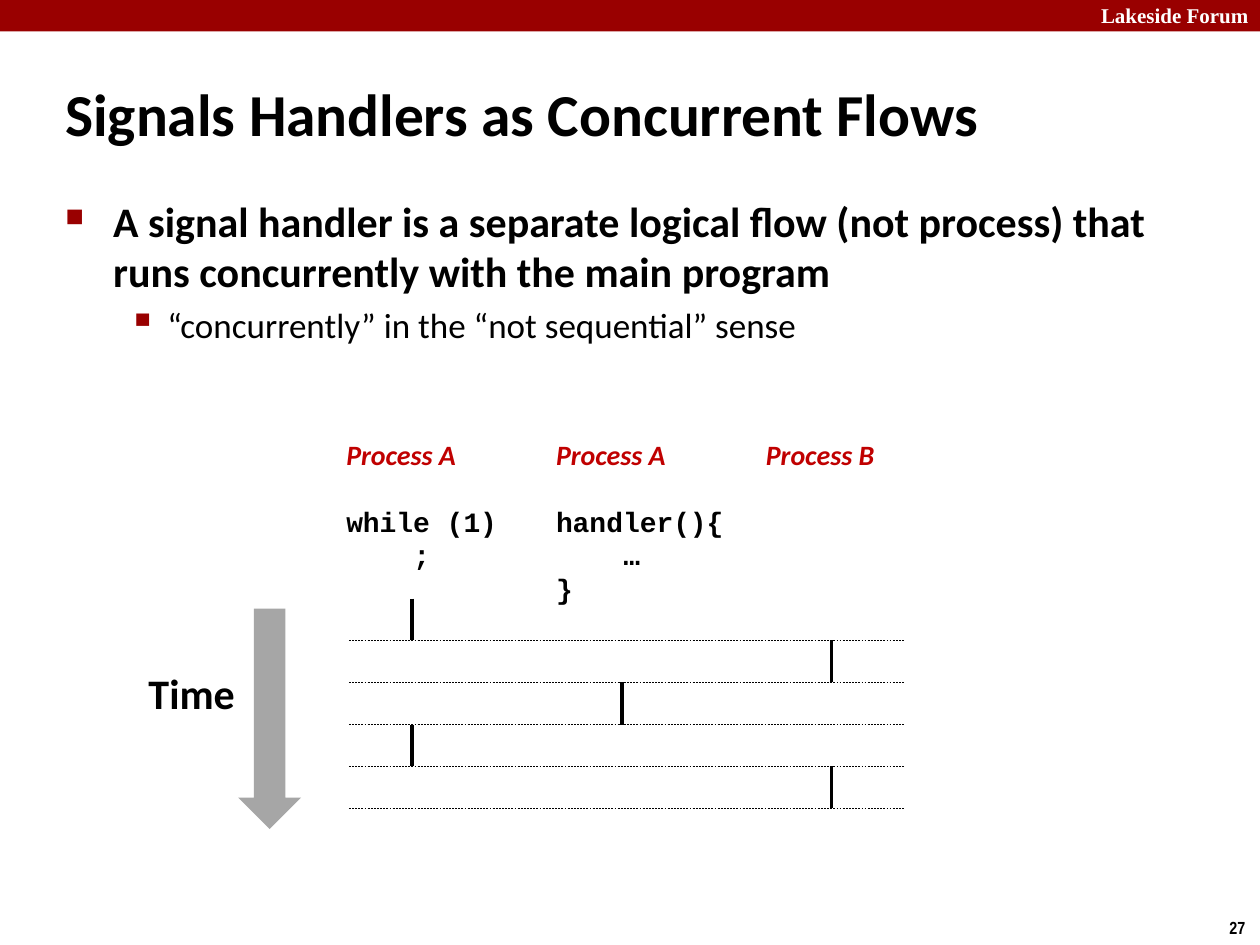
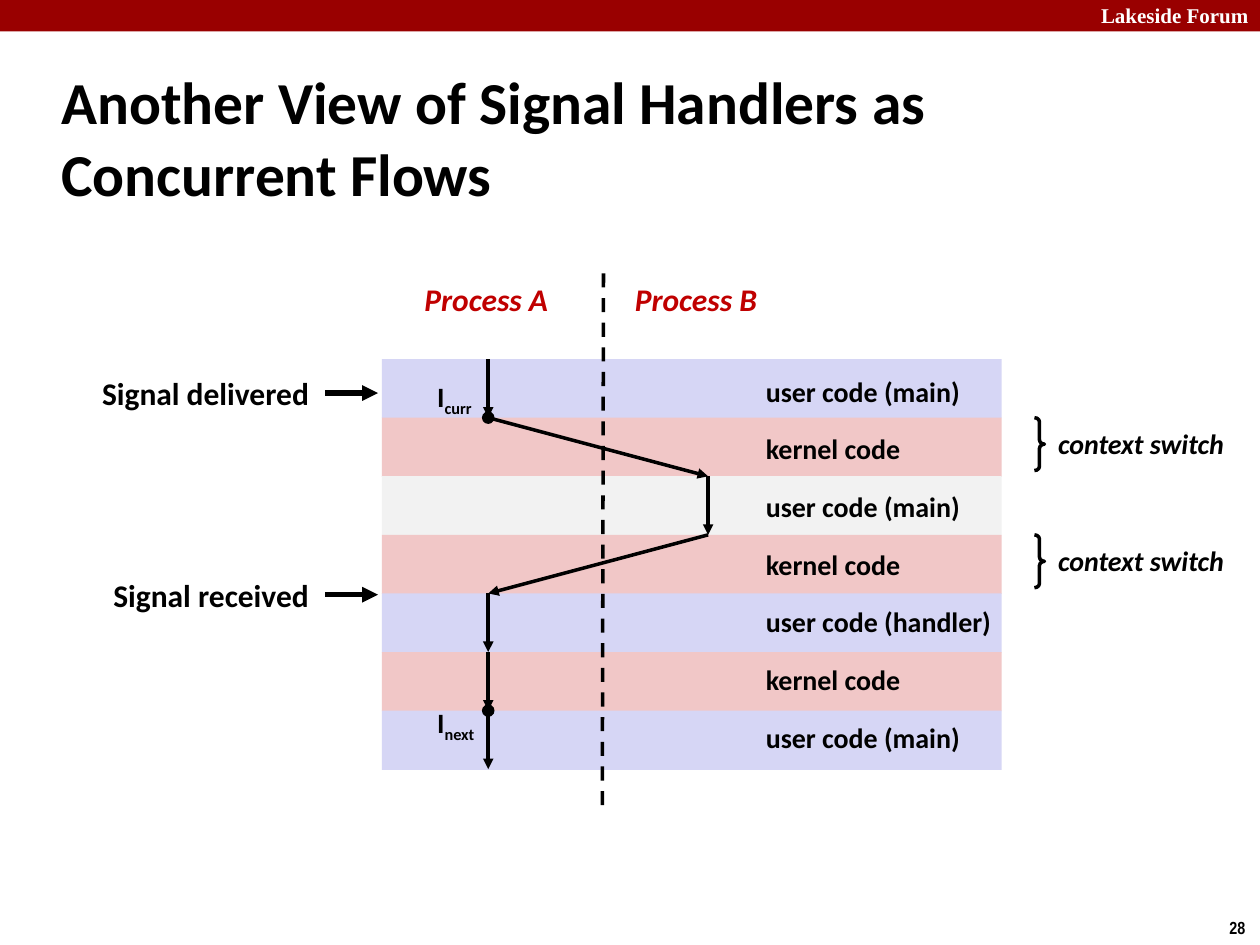
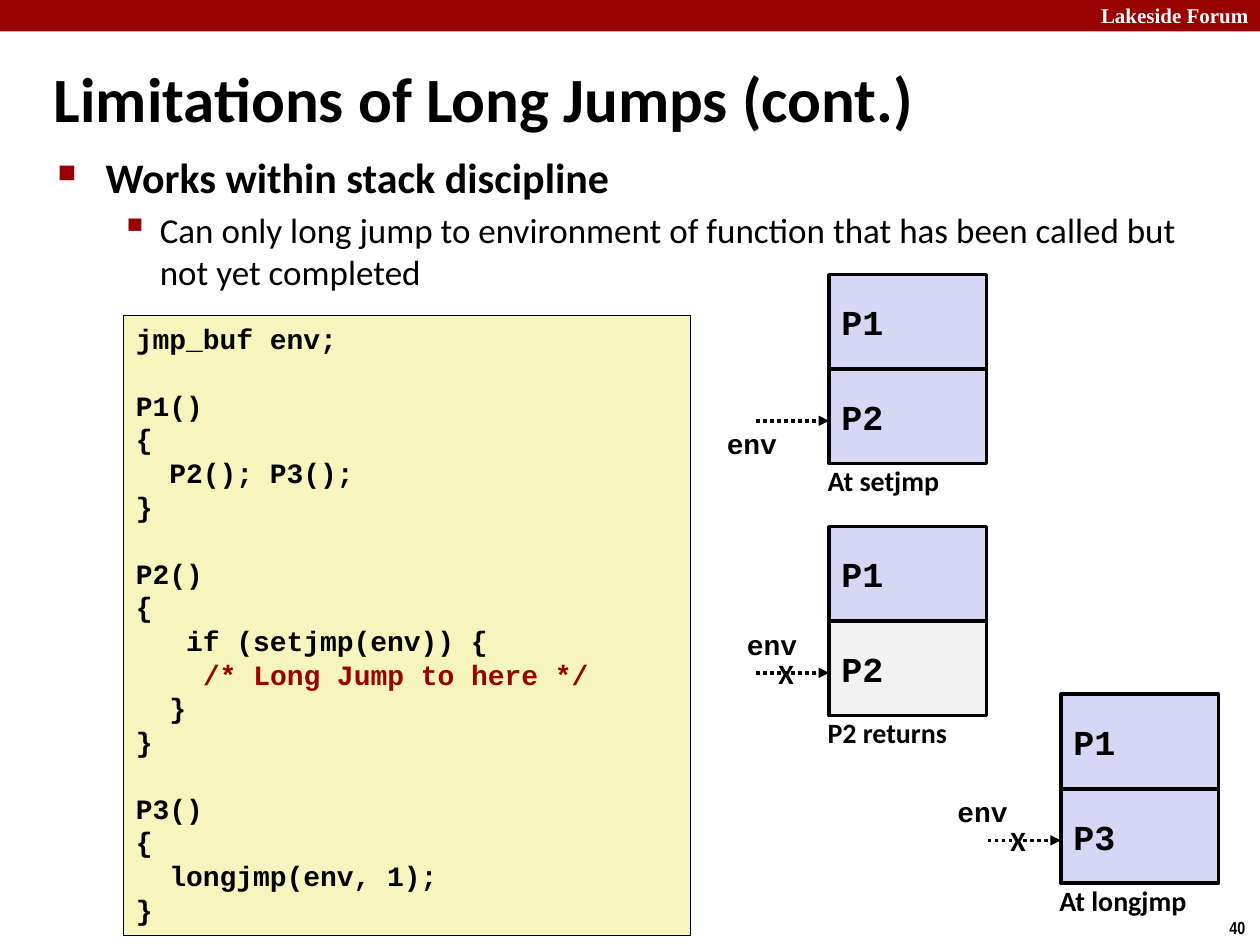
from dataclasses import dataclass
from itertools import pairwise

from lxml import etree
from pptx import Presentation
from pptx.dml.color import RGBColor
from pptx.enum.dml import MSO_LINE
from pptx.enum.shapes import MSO_CONNECTOR, MSO_SHAPE
from pptx.enum.text import MSO_ANCHOR, PP_ALIGN
from pptx.oxml.ns import qn
from pptx.util import Inches, Pt

RECTANGLE = MSO_SHAPE.RECTANGLE
ELLIPSE = MSO_SHAPE.OVAL
DOWN_ARROW = MSO_SHAPE.DOWN_ARROW
RIGHT_BRACE = MSO_SHAPE.RIGHT_BRACE
STRAIGHT = MSO_CONNECTOR.STRAIGHT
DASH = MSO_LINE.DASH
DOTS = MSO_LINE.ROUND_DOT
TOP = MSO_ANCHOR.TOP
MIDDLE = MSO_ANCHOR.MIDDLE
LEFT = PP_ALIGN.LEFT


@dataclass(frozen=True)
class Theme:
    black: str = "000000"
    white: str = "FFFFFF"
    crimson: str = "990000"
    heading_red: str = "C00000"
    gray: str = "A6A6A6"
    user_a: str = "D6D6F5"
    user_b: str = "F2F2F2"
    kernel: str = "F1C7C7"
    code_fill: str = "F6F5BD"
    body_font: str = "Calibri"
    code_font: str = "Courier New"
    band_font: str = "Times New Roman"
    number_font: str = "Arial Narrow"
    title: int = 34
    title_large: int = 36
    large: int = 24
    medium: int = 20
    label: int = 18
    small: int = 16
    band: int = 12
    number: int = 10
    code_line: float = 19.2
    code_character: float = 0.6 * 16 / 72


THEME = Theme()


def write(frame, text, size=THEME.small, font=THEME.body_font, color=THEME.black,
          bold=True, italic=False, level=0, margin=0, hanging=0, before=0,
          spacing=None, bullet=None, bullet_size=100, baseline=0, joined=False):
    paragraph = frame.paragraphs[-1]
    if paragraph.runs and not joined:
        paragraph = frame.add_paragraph()
    if not joined:
        paragraph.alignment = LEFT
        paragraph.level = level
        paragraph.space_before = Pt(before)
        if spacing:
            paragraph.line_spacing = Pt(spacing)
        properties = paragraph._p.get_or_add_pPr()
        properties.set("marL", str(Inches(margin)))
        properties.set("indent", str(Inches(-hanging)))
        if bullet:
            bullet_color = etree.SubElement(properties, qn("a:buClr"))
            etree.SubElement(bullet_color, qn("a:srgbClr"), val=THEME.crimson)
            etree.SubElement(properties, qn("a:buSzPct"), val=str(bullet_size * 1000))
            etree.SubElement(properties, qn("a:buChar"), char=bullet)
    run = paragraph.add_run()
    run.text = text
    run.font.size = Pt(size)
    run.font.name = font
    run.font.bold = bold
    run.font.italic = italic
    run.font.color.rgb = RGBColor.from_string(color)
    if baseline:
        run._r.get_or_add_rPr().set("baseline", str(baseline * 1000))


def write_code(frame, lines, blank_first=False):
    blank = blank_first
    for line in lines:
        code = line.lstrip()
        if not code:
            blank = True
            continue
        write(frame, code, font=THEME.code_font,
              color=THEME.crimson if code.startswith("/*") else THEME.black,
              margin=(len(line) - len(code)) * THEME.code_character,
              before=THEME.code_line if blank else 0, spacing=THEME.code_line)
        blank = False


def set_frame(shape, wrap=True, anchor=TOP, inset=0.1):
    frame = shape.text_frame
    frame.word_wrap = wrap
    frame.vertical_anchor = anchor
    frame.margin_left = frame.margin_right = Inches(inset)
    frame.margin_top = frame.margin_bottom = Inches(0.05)
    return frame


def add_frame(shapes, box, **layout):
    return set_frame(shapes.add_textbox(*map(Inches, box)), **layout)


def add_label(shapes, box, text, inset=0.1, **text_format):
    frame = add_frame(shapes, box, wrap=False, inset=inset)
    write(frame, text, **text_format)
    return frame


def add_shape(shapes, kind, box, fill=None, line=None, width=2):
    shape = shapes.add_shape(kind, *map(Inches, box))
    shape.shadow.inherit = False
    if fill:
        shape.fill.solid()
        shape.fill.fore_color.rgb = RGBColor.from_string(fill)
    else:
        shape.fill.background()
    if line:
        shape.line.color.rgb = RGBColor.from_string(line)
        shape.line.width = Pt(width)
    else:
        shape.line.fill.background()
    return shape


def add_line(shapes, start, end, width=2, dash=None, arrow=False):
    connector = shapes.add_connector(STRAIGHT, *map(Inches, (*start, *end)))
    connector.line.color.rgb = RGBColor.from_string(THEME.black)
    connector.line.width = Pt(width)
    if dash:
        connector.line.dash_style = dash
    properties = connector.element.spPr
    if arrow:
        etree.SubElement(properties.find(qn("a:ln")), qn("a:tailEnd"), type="triangle")
    etree.SubElement(properties, qn("a:effectLst"))


def add_slide(presentation, number, title, title_box, title_size=THEME.title):
    shapes = presentation.slides.add_slide(presentation.slide_layouts[6]).shapes
    add_shape(shapes, RECTANGLE, (0, 0, 10, 0.25), fill=THEME.crimson)
    add_label(shapes, (8.64, -0.03, 1.43, 0.3), "Lakeside Forum",
              size=THEME.band, font=THEME.band_font, color=THEME.white)
    add_label(shapes, (9.66, 7.23, 0.34, 0.27), str(number),
              size=THEME.number, font=THEME.number_font)
    write(add_frame(shapes, title_box, anchor=MIDDLE), title, size=title_size)
    return shapes


def add_bullets(shapes, box, heading, detail):
    frame = add_frame(shapes, box)
    write(frame, heading, size=THEME.large, margin=0.38, hanging=0.38,
          before=5, bullet="■", bullet_size=60)
    write(frame, detail, size=THEME.medium, bold=False, level=1, margin=0.81,
          hanging=0.31, before=4, bullet="▪", bullet_size=110)


def add_process_columns(shapes, left, top, step):
    columns = (
        ("Process A", ("while (1)", "    ;"), 1.4, 1.17),
        ("Process A", ("handler(){", "    …", "}"), 1.54, 1.44),
        ("Process B", (), 1.08, 0.37),
    )
    for index, (name, code, width, height) in enumerate(columns):
        frame = add_label(shapes, (left + index * step, top, width, height), name,
                          color=THEME.heading_red, italic=True)
        write_code(frame, code, blank_first=True)


def add_timeline(shapes, left, top, width, lane_step):
    slot = 1 / 3
    for index, lane in enumerate((0, 2, 1, 0, 2)):
        x = left + 0.5 + lane * lane_step
        start, end = top + index * slot, top + (index + 1) * slot
        add_line(shapes, (x, start), (x, end))
        add_line(shapes, (left, end), (left + width, end), width=0.25, dash=DASH)


def add_time_arrow(shapes, left, top):
    add_label(shapes, (left, top + 0.42, 0.89, 0.5), "Time", size=THEME.large)
    add_shape(shapes, DOWN_ARROW, (left + 0.81, top, 0.5, 1.75), fill=THEME.gray)


def add_signal(shapes, left, top, width, text):
    add_label(shapes, (left, top, width, 0.4), text, inset=0.05, size=THEME.label)
    add_line(shapes, (2.58, top + 0.2), (3, top + 0.2), width=3, arrow=True)


def add_instruction(shapes, left, top, subscript, dot_center):
    frame = add_label(shapes, (left, top, 0.42, 0.37), "I", inset=0.05)
    write(frame, subscript, baseline=-25, joined=True)
    x, y = dot_center
    add_shape(shapes, ELLIPSE, (x - 0.05, y - 0.05, 0.1, 0.1), fill=THEME.black)


def add_context_switch(shapes, left, top):
    brace = add_shape(shapes, RIGHT_BRACE, (left, top, 0.08, 0.42), line=THEME.black)
    brace.adjustments[0] = 0.42
    add_label(shapes, (left + 0.09, top + 0.02, 1.54, 0.37), "context switch", italic=True)


def add_flow_diagram(shapes, left, top, width):
    main, kernel, handler = "user code (main)", "kernel code", "user code (handler)"
    label_widths = {main: 1.76, kernel: 1.28, handler: 2.02}
    rows = (
        (main, THEME.user_a), (kernel, THEME.kernel), (main, THEME.user_b),
        (kernel, THEME.kernel), (handler, THEME.user_a), (kernel, THEME.kernel),
        (main, THEME.user_a),
    )
    step = 0.465
    for index, (text, fill) in enumerate(rows):
        add_shape(shapes, RECTANGLE, (left, top + index * step, width, 0.47), fill=fill)
        add_label(shapes, (left + 2.95, top + 0.07 + index * 0.458,
                           label_widths[text], 0.37), text)

    lane_a, lane_b = left + 0.845, left + 2.59
    for x, name in ((left + 0.24, "Process A"), (left + 1.91, "Process B")):
        add_label(shapes, (x, top - 0.68, 1.2, 0.4), name, size=THEME.label,
                  color=THEME.heading_red, italic=True)
    add_line(shapes, (left + 1.76, top - 0.68), (left + 1.75, top + 3.62), dash=DASH)

    lanes = (lane_a, lane_a, lane_b, lane_b, lane_a, lane_a, lane_a, lane_a)
    points = [(lane, top + index * step) for index, lane in enumerate(lanes)]
    for start, end in pairwise(points):
        add_line(shapes, start, end, arrow=True)
    add_instruction(shapes, left + 0.39, top + 0.11, "curr", points[1])
    add_instruction(shapes, left + 0.39, top + 2.7, "next", points[6])
    for row in (1, 3):
        add_context_switch(shapes, left + 5.18, top + row * step)


def add_code_panel(shapes, box, lines):
    panel = add_shape(shapes, RECTANGLE, box, fill=THEME.code_fill,
                      line=THEME.black, width=0.25)
    write_code(set_frame(panel), lines)


def add_stack(shapes, left, top, frames, caption, caption_width, env_offset, invalid):
    group = shapes.add_group_shape().shapes
    for index, (name, fill) in enumerate(frames):
        cell = add_shape(group, RECTANGLE, (left, top + index * 0.75, 1.25, 0.75),
                         fill=fill, line=THEME.black)
        write(set_frame(cell, anchor=MIDDLE), name, size=THEME.medium, font=THEME.code_font)
    arrow_top = top + 1.16
    add_line(group, (left - 0.58, arrow_top), (left, arrow_top), dash=DOTS, arrow=True)
    env_x, env_y = env_offset
    add_label(group, (left + env_x, top + env_y, 0.6, 0.37), "env", font=THEME.code_font)
    add_label(group, (left - 0.11, top + 1.45, caption_width, 0.37), caption)
    if invalid:
        add_label(group, (left - 0.5, arrow_top - 0.18, 0.33, 0.37), "X")


def build_handlers_slide(presentation):
    shapes = add_slide(presentation, 27, "Signals Handlers as Concurrent Flows",
                       (0.42, 0.48, 8.3, 0.83))
    add_bullets(shapes, (0.42, 1.5, 9.09, 1.42),
                "A signal handler is a separate logical flow (not process) that "
                "runs concurrently with the main program",
                "“concurrently” in the “not sequential” sense")
    lane_step = 1.665
    add_process_columns(shapes, 2.65, 3.42, lane_step)
    add_timeline(shapes, 2.77, 4.75, 4.41, lane_step)
    add_time_arrow(shapes, 1.08, 4.83)


def build_flow_slide(presentation):
    shapes = add_slide(presentation, 28,
                       "Another View of Signal Handlers as Concurrent Flows",
                       (0.39, 0.67, 8.3, 0.83))
    add_signal(shapes, 0.76, 2.92, 1.75, "Signal delivered")
    add_signal(shapes, 0.85, 4.52, 1.66, "Signal received")
    add_flow_diagram(shapes, 3.03, 2.85, 4.92)


def build_jumps_slide(presentation):
    shapes = add_slide(presentation, 40, "Limitations of Long Jumps (cont.)",
                       (0.33, 0.46, 8.68, 0.63), title_size=THEME.title_large)
    add_bullets(shapes, (0.36, 1.15, 9.09, 1.27), "Works within stack discipline",
                "Can only long jump to environment of function that has been "
                "called but not yet completed")
    add_code_panel(shapes, (0.98, 2.5, 4.5, 4.92), (
        "jmp_buf env;", "",
        "P1()", "{", "  P2(); P3();", "}", "",
        "P2()", "{", "   if (setjmp(env)) {", "    /* Long Jump to here */",
        "  }", "}", "",
        "P3()", "{", "  longjmp(env, 1);", "}",
    ))
    live, gone = THEME.user_a, THEME.user_b
    add_stack(shapes, 6.58, 2.18, (("P1", live), ("P2", live)),
              "At setjmp", 1.1, (-0.91, 1.16), invalid=False)
    add_stack(shapes, 8.42, 5.51, (("P1", live), ("P3", live)),
              "At longjmp", 1.22, (-0.92, 0.75), invalid=True)
    add_stack(shapes, 6.58, 4.18, (("P1", live), ("P2", gone)),
              "P2 returns", 1.16, (-0.75, 0.75), invalid=True)


presentation = Presentation()
presentation.slide_width = Inches(10)
presentation.slide_height = Inches(7.5)
build_handlers_slide(presentation)
build_flow_slide(presentation)
build_jumps_slide(presentation)
presentation.save("out.pptx")
